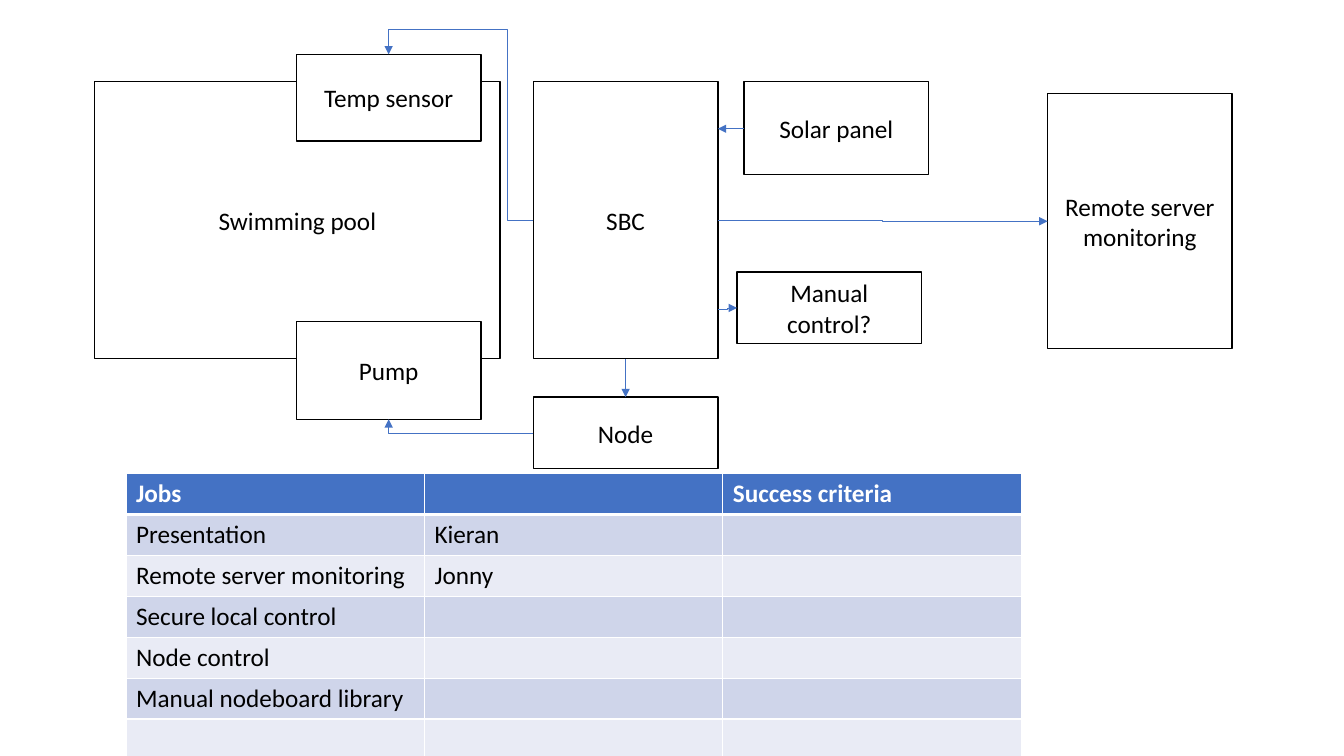
import pptx
import pptx.dml.color
import pptx.enum.dml
import pptx.enum.shapes
import pptx.enum.text
import pptx.oxml
import pptx.oxml.ns
import pptx.util
from pptx.util import Inches

RGBColor = pptx.dml.color.RGBColor
BLACK = RGBColor(0x00, 0x00, 0x00)
WHITE = RGBColor(0xFF, 0xFF, 0xFF)
BLUE = RGBColor(0x44, 0x72, 0xC4)
BANDS = (RGBColor(0xCF, 0xD5, 0xEA), RGBColor(0xE9, 0xEB, 0xF5))

BOX_WIDTH = 1.83
# name: (left, top, width, height)
BOXES = {
    "Swimming pool": (0.94, 0.81, 4.02, 2.75),
    "SBC": (5.29, 0.81, BOX_WIDTH, 2.75),
    "Solar panel": (7.38, 0.81, BOX_WIDTH, 0.92),
    "Pump": (2.94, 3.19, BOX_WIDTH, 0.97),
    "Temp sensor": (2.94, 0.54, BOX_WIDTH, 0.86),
    "Remote server monitoring": (10.39, 0.93, BOX_WIDTH, 2.53),
    "Node": (5.29, 3.94, BOX_WIDTH, 0.71),
    "Manual control?": (7.31, 2.7, BOX_WIDTH, 0.71),
}

# Sides as fractions of a box's width and height
TOP, LEFT, BOTTOM, RIGHT = (0.5, 0), (0, 0.5), (0.5, 1), (1, 0.5)
SOLAR_INPUT, MANUAL_OUTPUT = (1, 0.17), (1, 0.82)

# start box, side, end box, side, preset, adjustments
ARROWS = [
    ("SBC", BOTTOM, "Node", TOP, "straightConnector1", ()),
    ("Node", LEFT, "Pump", BOTTOM, "bentConnector2", ()),
    ("SBC", LEFT, "Temp sensor", TOP, "bentConnector4", (18200, 115200)),
    ("Solar panel", LEFT, "SBC", SOLAR_INPUT, "bentConnector3", (50000,)),
    ("SBC", RIGHT, "Remote server monitoring", LEFT, "bentConnector3", (50000,)),
    ("SBC", MANUAL_OUTPUT, "Manual control?", LEFT, "bentConnector3", (50000,)),
]

JOBS = [
    ("Jobs", "", "Success criteria"),
    ("Presentation", "Kieran", ""),
    ("Remote server monitoring", "Jonny", ""),
    ("Secure local control", "", ""),
    ("Node control", "", ""),
    ("Manual nodeboard library", "", ""),
    ("", "", ""),
]
TABLE_LEFT, TABLE_TOP = 1.25, 4.7
COLUMN_WIDTH, ROW_HEIGHT = 2.96, 0.4


def write_text(text_frame, text, color=BLACK, bold=False, align=None):
    """Write one paragraph of 18 point Calibri."""
    paragraph = text_frame.paragraphs[0]
    paragraph.alignment = align
    paragraph.font.size = pptx.util.Pt(18)
    if text:
        run = paragraph.add_run()
        run.text = text
        run.font.name = "Calibri"
        run.font.size = pptx.util.Pt(18)
        run.font.bold = bold
        run.font.color.rgb = color


def add_box(slide, name, bounds):
    """Add a white, black-edged box with its name centred."""
    box = slide.shapes.add_shape(
        pptx.enum.shapes.MSO_SHAPE.RECTANGLE, *map(Inches, bounds))
    box.shadow.inherit = False
    box.fill.solid()
    box.fill.fore_color.rgb = WHITE
    box.line.color.rgb = BLACK
    box.line.width = pptx.util.Pt(1)
    box.text_frame.word_wrap = True
    box.text_frame.vertical_anchor = pptx.enum.text.MSO_ANCHOR.MIDDLE
    write_text(box.text_frame, name, align=pptx.enum.text.PP_ALIGN.CENTER)


def anchor(name, side):
    """Return the point on a box's edge as a pair of lengths."""
    left, top, width, height = BOXES[name]
    return Inches(left + side[0] * width), Inches(top + side[1] * height)


def add_child(parent, tag, **attributes):
    """Append an XML element with the given attributes."""
    child = pptx.oxml.parse_xml(
        f"<{tag} {pptx.oxml.ns.nsdecls('a')}/>")
    for key, value in attributes.items():
        child.set(key, str(value))
    parent.append(child)
    return child


def add_arrow(slide, start, start_side, end, end_side, preset, adjustments):
    """Add a thin blue arrow between two boxes."""
    connector = slide.shapes.add_connector(
        pptx.enum.shapes.MSO_CONNECTOR.ELBOW,
        *anchor(start, start_side), *anchor(end, end_side))
    connector.line.color.rgb = BLUE
    connector.line.width = pptx.util.Pt(0.5)
    properties = connector.line._get_or_add_ln().getparent()
    geometry = properties.find(pptx.oxml.ns.qn("a:prstGeom"))
    geometry.set("prst", preset)
    for old_list in list(geometry):
        geometry.remove(old_list)
    guides = add_child(geometry, "a:avLst")
    for number, value in enumerate(adjustments, 1):
        add_child(guides, "a:gd", name=f"adj{number}", fmla=f"val {value}")
    add_child(connector.line._get_or_add_ln(), "a:tailEnd", type="triangle")
    add_child(properties, "a:effectLst")


def add_borders(cell, bottom):
    """Give a cell white borders, with its own bottom width in points."""
    properties = cell._tc.get_or_add_tcPr()
    for edge, width in (("L", 1), ("R", 1), ("T", 1), ("B", bottom)):
        border = add_child(properties, f"a:ln{edge}", w=pptx.util.Pt(width))
        add_child(add_child(border, "a:solidFill"), "a:srgbClr", val=WHITE)


def add_jobs_table(slide):
    """Add the jobs table with a blue header and banded rows."""
    columns = len(JOBS[0])
    table = slide.shapes.add_table(
        len(JOBS), columns, Inches(TABLE_LEFT), Inches(TABLE_TOP),
        Inches(COLUMN_WIDTH * columns), Inches(ROW_HEIGHT * len(JOBS))).table
    for row, texts in enumerate(JOBS):
        header = row == 0
        for column, text in enumerate(texts):
            cell = table.cell(row, column)
            add_borders(cell, bottom=3 if header else 1)
            cell.fill.solid()
            cell.fill.fore_color.rgb = BLUE if header else BANDS[(row - 1) % 2]
            write_text(cell.text_frame, text, bold=header,
                       color=WHITE if header else BLACK)


presentation = pptx.Presentation()
presentation.slide_width = Inches(13.33)
presentation.slide_height = Inches(7.5)
slide = presentation.slides.add_slide(presentation.slide_layouts[6])
for name, bounds in BOXES.items():
    add_box(slide, name, bounds)
for arrow in ARROWS:
    add_arrow(slide, *arrow)
add_jobs_table(slide)
presentation.save("out.pptx")
